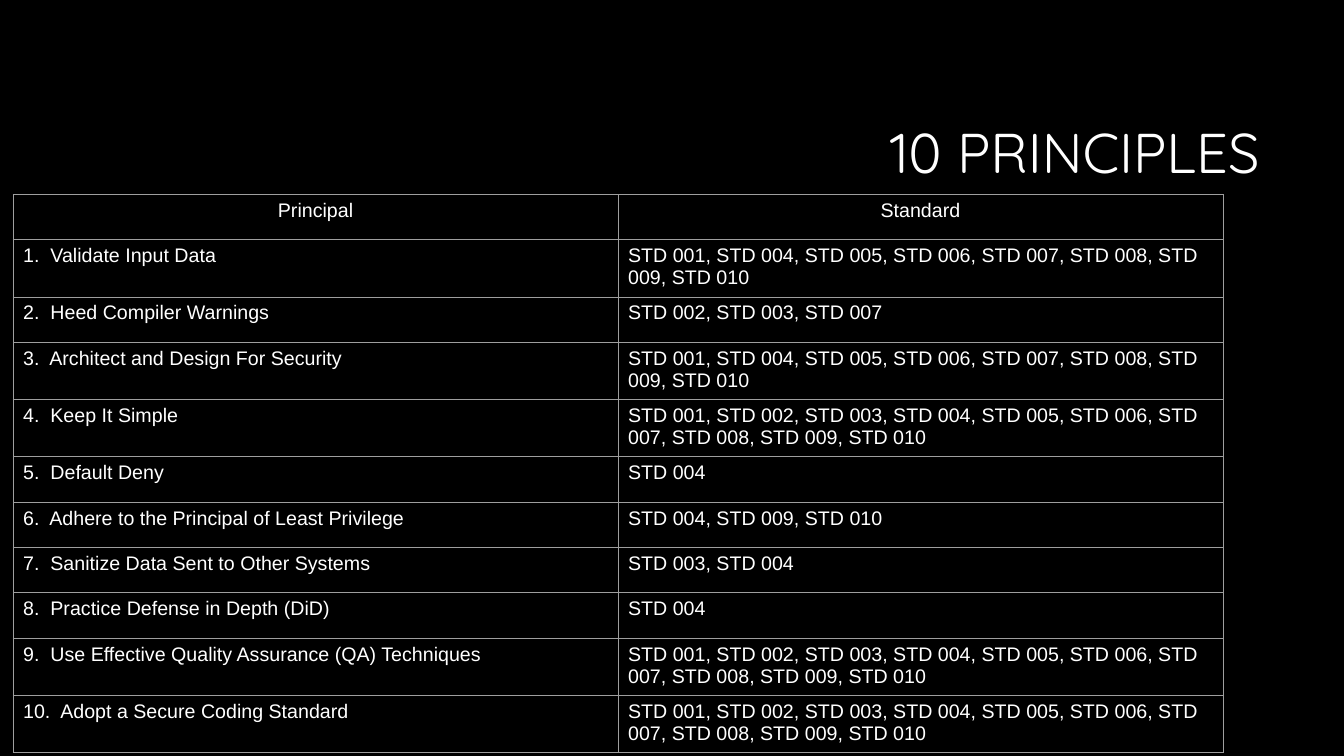
from dataclasses import dataclass

from lxml.etree import SubElement
from pptx import Presentation
from pptx.dml.color import RGBColor
from pptx.enum.text import MSO_ANCHOR, PP_ALIGN
from pptx.oxml.ns import qn
from pptx.util import Inches, Pt

SLIDE_WIDTH, SLIDE_HEIGHT = Inches(13.33), Inches(7.5)


@dataclass(frozen=True)
class Theme:
    """Colours, fonts and type sizes of the slide."""

    background: str = "000000"
    ink: str = "FFFFFF"
    rule: str = "9E9E9E"
    rule_width: float = 0.75
    title_font: str = "Quicksand"
    title_size: int = 40
    table_font: str = "Arial"
    table_size: int = 14


THEME = Theme()
EVERY_STANDARD = range(1, 11)
INPUT_STANDARDS = (1, *range(4, 11))
PRINCIPLES = (
    ("Validate Input Data", INPUT_STANDARDS),
    ("Heed Compiler Warnings", (2, 3, 7)),
    ("Architect and Design For Security", INPUT_STANDARDS),
    ("Keep It Simple", EVERY_STANDARD),
    ("Default Deny", (4,)),
    ("Adhere to the Principal of Least Privilege", (4, 9, 10)),
    ("Sanitize Data Sent to Other Systems", (3, 4)),
    ("Practice Defense in Depth (DiD)", (4,)),
    ("Use Effective Quality Assurance (QA) Techniques", EVERY_STANDARD),
    ("Adopt a Secure Coding Standard", EVERY_STANDARD),
)


def across(inches):
    """Turn inches into a share of the slide width."""
    return round(SLIDE_WIDTH * inches / 13.33)


def down(inches):
    """Turn inches into a share of the slide height."""
    return round(SLIDE_HEIGHT * inches / 7.5)


def apply_format(target, values):
    """Set each named attribute on the target."""
    for name, value in values.items():
        setattr(target, name, value)


def write(frame, text, font, size, layout):
    """Put one formatted paragraph into a text frame."""
    paragraph = frame.paragraphs[0]
    apply_format(paragraph, layout)
    run = paragraph.add_run()
    run.text = text
    apply_format(run.font, {"name": font, "size": Pt(size), "bold": False})
    run.font.color.rgb = RGBColor.from_string(THEME.ink)


def add_title(slide, text):
    """Add the right-aligned slide heading."""
    heading = slide.shapes.add_textbox(across(3.17), down(0.84), across(9.42), down(1.41))
    frame = heading.text_frame
    apply_format(frame, {"word_wrap": True, "vertical_anchor": MSO_ANCHOR.MIDDLE})
    layout = {"alignment": PP_ALIGN.RIGHT, "line_spacing": 0.9}
    write(frame, text, THEME.title_font, THEME.title_size, layout)


def draw_borders(cell):
    """Rule all four sides of a cell."""
    properties = cell._tc.get_or_add_tcPr()
    for side in ("a:lnL", "a:lnR", "a:lnT", "a:lnB"):
        rule = SubElement(properties, qn(side), w=str(Pt(THEME.rule_width)))
        fill = SubElement(rule, qn("a:solidFill"))
        SubElement(fill, qn("a:srgbClr"), val=THEME.rule)


def fill_cell(cell, text, alignment):
    """Rule a clear cell and write its text."""
    draw_borders(cell)
    cell.fill.background()
    write(cell.text_frame, text, THEME.table_font, THEME.table_size, {"alignment": alignment})


def add_principles_table(slide):
    """Add the table that maps principles to standards."""
    entries = [("Principal", "Standard")]
    for number, (principle, standards) in enumerate(PRINCIPLES, 1):
        codes = ", ".join(f"STD {standard:03}" for standard in standards)
        entries.append((f"{number}.  {principle}", codes))
    table = slide.shapes.add_table(
        len(entries), 2, across(0.13), down(1.93), across(12), down(0.45) * len(entries)
    ).table
    apply_format(table, {"first_row": False, "horz_banding": False})
    for row, entry in enumerate(entries):
        alignment = PP_ALIGN.LEFT if row else PP_ALIGN.CENTER
        for column, text in enumerate(entry):
            fill_cell(table.cell(row, column), text, alignment)


def main():
    """Build and save the slide."""
    deck = Presentation()
    apply_format(deck, {"slide_width": SLIDE_WIDTH, "slide_height": SLIDE_HEIGHT})
    slide = deck.slides.add_slide(deck.slide_layouts[6])
    backdrop = slide.background.fill
    backdrop.solid()
    backdrop.fore_color.rgb = RGBColor.from_string(THEME.background)
    add_title(slide, "10 PRINCIPLES")
    add_principles_table(slide)
    deck.save("out.pptx")


if __name__ == "__main__":
    main()
